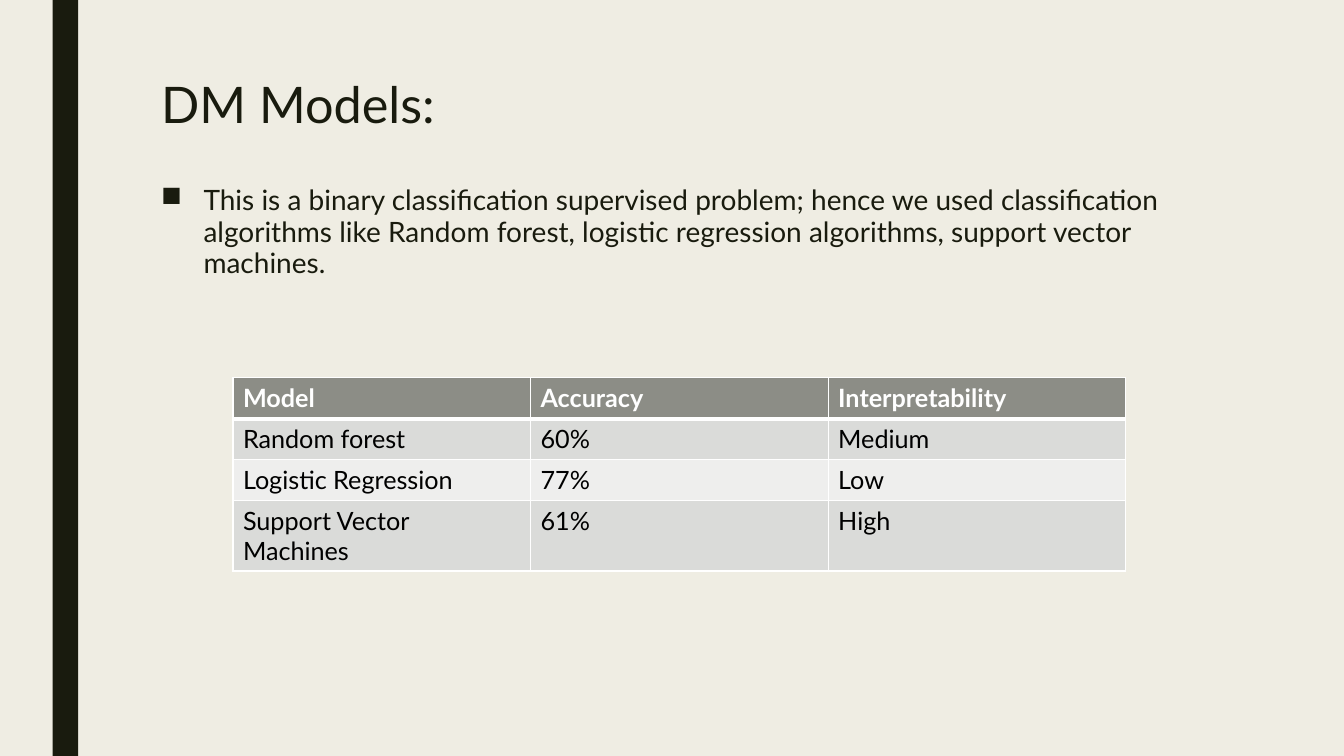
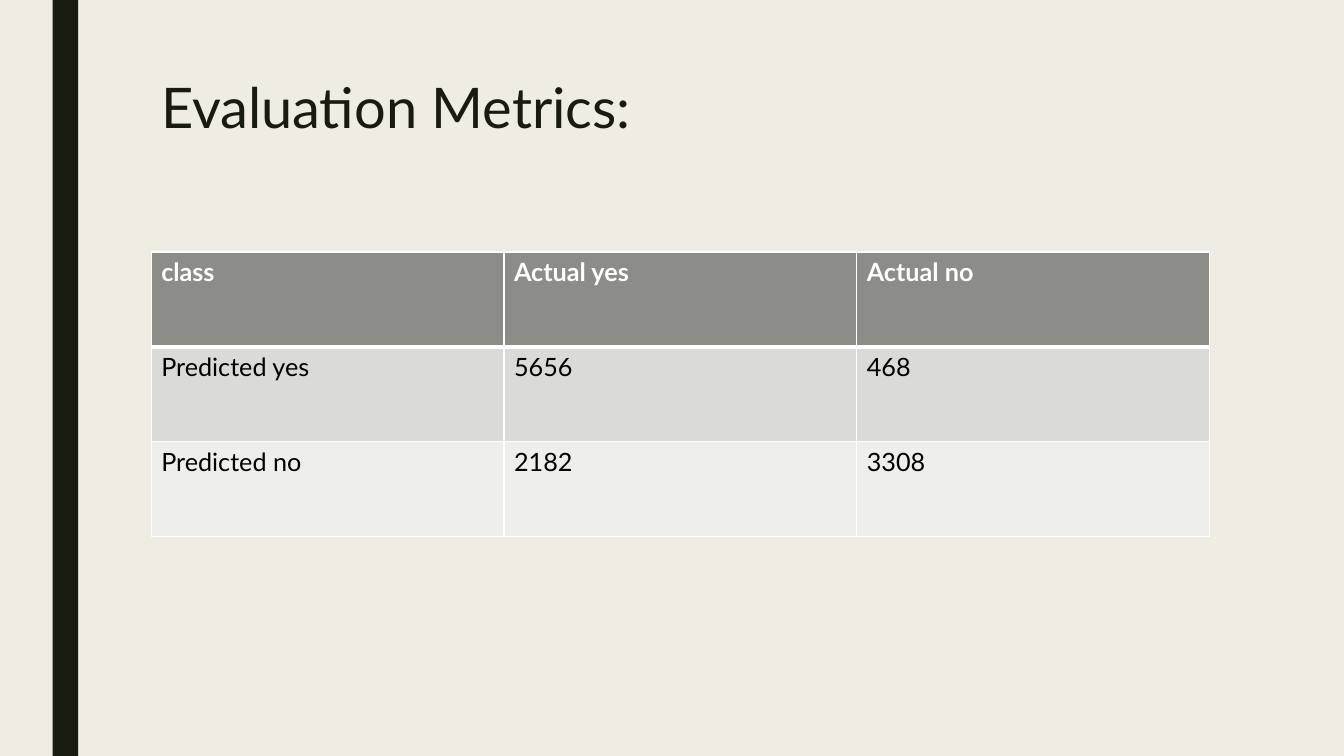
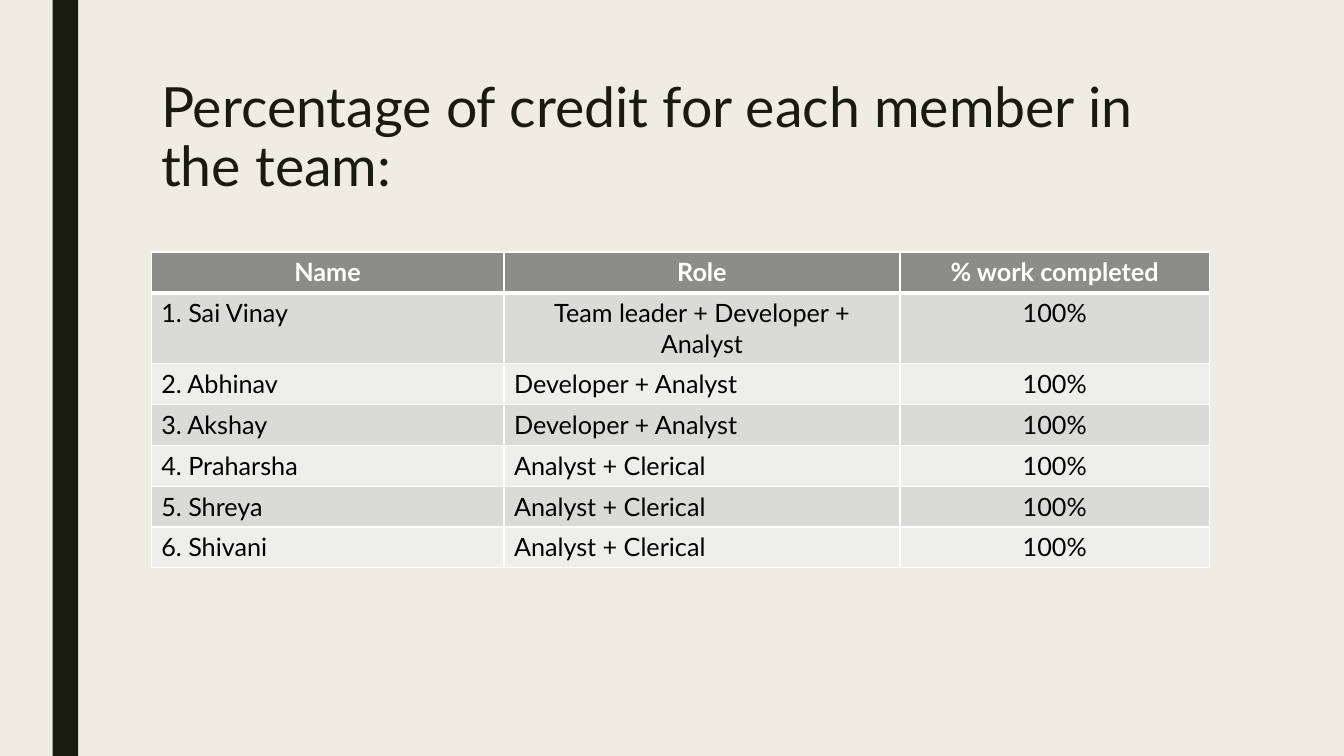
from dataclasses import dataclass

from lxml import etree
from pptx import Presentation
from pptx.dml.color import RGBColor
from pptx.enum.shapes import MSO_SHAPE
from pptx.enum.text import MSO_ANCHOR, PP_ALIGN
from pptx.oxml.ns import qn
from pptx.util import Cm, Pt

RECT = MSO_SHAPE.RECTANGLE
TOP = MSO_ANCHOR.TOP
LEFT, CENTER = PP_ALIGN.LEFT, PP_ALIGN.CENTER
BLANK = 6


@dataclass(frozen=True)
class Theme:
    font: str = "Lato"
    paper: str = "EFEDE3"
    ink: str = "191B0E"
    header: str = "8C8D86"
    bands: tuple = ("DADBD9", "EEEEED")
    white: str = "FFFFFF"
    cell_ink: str = "000000"
    title_size: float = 40
    title_long: float = 39.6
    title_small: float = 36
    body_size: float = 20
    cell_size: float = 18
    title_spacing: float = 0.89
    body_spacing: float = 0.94
    rule: float = 1
    header_rule: float = 3


T = Theme()
WIDTH, HEIGHT = Cm(33.87), Cm(19.05)
MARGIN, CONTENT_W = Cm(3.81), Cm(26.67)
TITLE_TOP, TABLE_TOP = Cm(1.9), Cm(6.35)
ROW_H = Cm(1.03)


def rgb(value):
    return RGBColor.from_string(value)


def style(p, size, color, bold=False):
    for r in p.runs:
        r.font.name, r.font.size, r.font.bold = T.font, Pt(size), bold
        r.font.color.rgb = rgb(color)


def add_text(s, box, text, size, spacing, bullet=False):
    tf = s.shapes.add_textbox(*box).text_frame
    tf.word_wrap = True
    tf.vertical_anchor = TOP
    p = tf.paragraphs[0]
    p.text = text
    if bullet:
        pPr = p._p.get_or_add_pPr()
        pPr.set("marL", str(Cm(1.07)))
        pPr.set("indent", str(-Cm(1.07)))
        etree.SubElement(pPr, qn("a:buChar"), char="■")
    p.line_spacing = spacing
    style(p, size, T.ink)


def set_borders(cell, top, bottom):
    tcPr = cell._tc.get_or_add_tcPr()
    sides = {"lnL": T.rule, "lnR": T.rule, "lnT": top, "lnB": bottom}
    for side, width in sides.items():
        ln = etree.SubElement(tcPr, qn(f"a:{side}"), w=str(Pt(width)))
        fill = etree.SubElement(ln, qn("a:solidFill"))
        etree.SubElement(fill, qn("a:srgbClr"), val=T.white)


def add_table(s, left, top, col_widths, row_h, rows, centred=()):
    """Header row, then banded rows; centred holds (row, column) pairs."""
    table = s.shapes.add_table(len(rows), len(col_widths), left, top,
                               sum(col_widths), row_h * len(rows)).table
    table.horz_banding = False
    for column, width in zip(table.columns, col_widths):
        column.width = width
    for i, texts in enumerate(rows):
        table.rows[i].height = row_h
        is_header = i == 0
        for j, text in enumerate(texts):
            cell = table.cell(i, j)
            set_borders(cell,
                        top=T.header_rule if i == 1 else T.rule,
                        bottom=T.header_rule if is_header else T.rule)
            cell.fill.solid()
            cell.fill.fore_color.rgb = rgb(
                T.header if is_header else T.bands[(i - 1) % 2])
            p = cell.text_frame.paragraphs[0]
            p.text = text
            p.alignment = CENTER if (i, j) in centred else LEFT
            style(p, T.cell_size, T.white if is_header else T.cell_ink, is_header)


def add_slide(prs, title, title_size=T.title_size, title_h=Cm(1.8)):
    s = prs.slides.add_slide(prs.slide_layouts[BLANK])
    # Dark side band
    band = s.shapes.add_shape(RECT, Cm(1.33), 0, Cm(0.64), HEIGHT)
    band.shadow.inherit = False
    band.fill.solid()
    band.fill.fore_color.rgb = rgb(T.ink)
    band.line.fill.background()
    # Title
    add_text(s, (MARGIN, TITLE_TOP, CONTENT_W, title_h), title,
             title_size, T.title_spacing)
    return s


def models_slide(prs):
    s = add_slide(prs, "DM Models:", T.title_small, Cm(1.65))
    add_text(s, (MARGIN, Cm(4.55), CONTENT_W, Cm(3)),
             "This is a binary classification supervised problem; hence we used "
             "classification algorithms like Random forest, logistic regression "
             "algorithms, support vector machines.",
             T.body_size, T.body_spacing, bullet=True)
    add_table(s, Cm(5.87), Cm(9.52), [Cm(7.5)] * 3, ROW_H, [
        ("Model", "Accuracy", "Interpretability"),
        ("Random forest", "60%", "Medium"),
        ("Logistic Regression", "77%", "Low"),
        ("Support Vector Machines", "61%", "High"),
    ])


def metrics_slide(prs):
    s = add_slide(prs, "Evaluation Metrics:")
    add_table(s, MARGIN, TABLE_TOP, [CONTENT_W // 3] * 3, Cm(2.39), [
        ("class", "Actual yes", "Actual no"),
        ("Predicted yes", "5656", "468"),
        ("Predicted no", "2182", "3308"),
    ])


def credit_slide(prs):
    s = add_slide(prs, "Percentage of credit for each member in the team:",
                  T.title_long, Cm(3.1))
    members = [
        ("Sai Vinay", "Team leader + Developer + Analyst"),
        ("Abhinav", "Developer + Analyst"),
        ("Akshay", "Developer + Analyst"),
        ("Praharsha", "Analyst + Clerical"),
        ("Shreya", "Analyst + Clerical"),
        ("Shivani", "Analyst + Clerical"),
    ]
    rows = [("Name", "Role", "% work completed")]
    rows += [(f"{n}. {name}", role, "100%")
             for n, (name, role) in enumerate(members, 1)]
    # Header, leader's role and the last column are centred
    centred = {(0, 0), (0, 1), (1, 1)} | {(i, 2) for i in range(len(rows))}
    add_table(s, MARGIN, TABLE_TOP, [Cm(8.89), Cm(9.98), Cm(7.8)], ROW_H,
              rows, centred)


def main():
    prs = Presentation()
    prs.slide_width, prs.slide_height = WIDTH, HEIGHT
    # Shared background
    background = prs.slide_master.background.fill
    background.solid()
    background.fore_color.rgb = rgb(T.paper)
    for build in (models_slide, metrics_slide, credit_slide):
        build(prs)
    prs.save("out.pptx")


if __name__ == "__main__":
    main()
